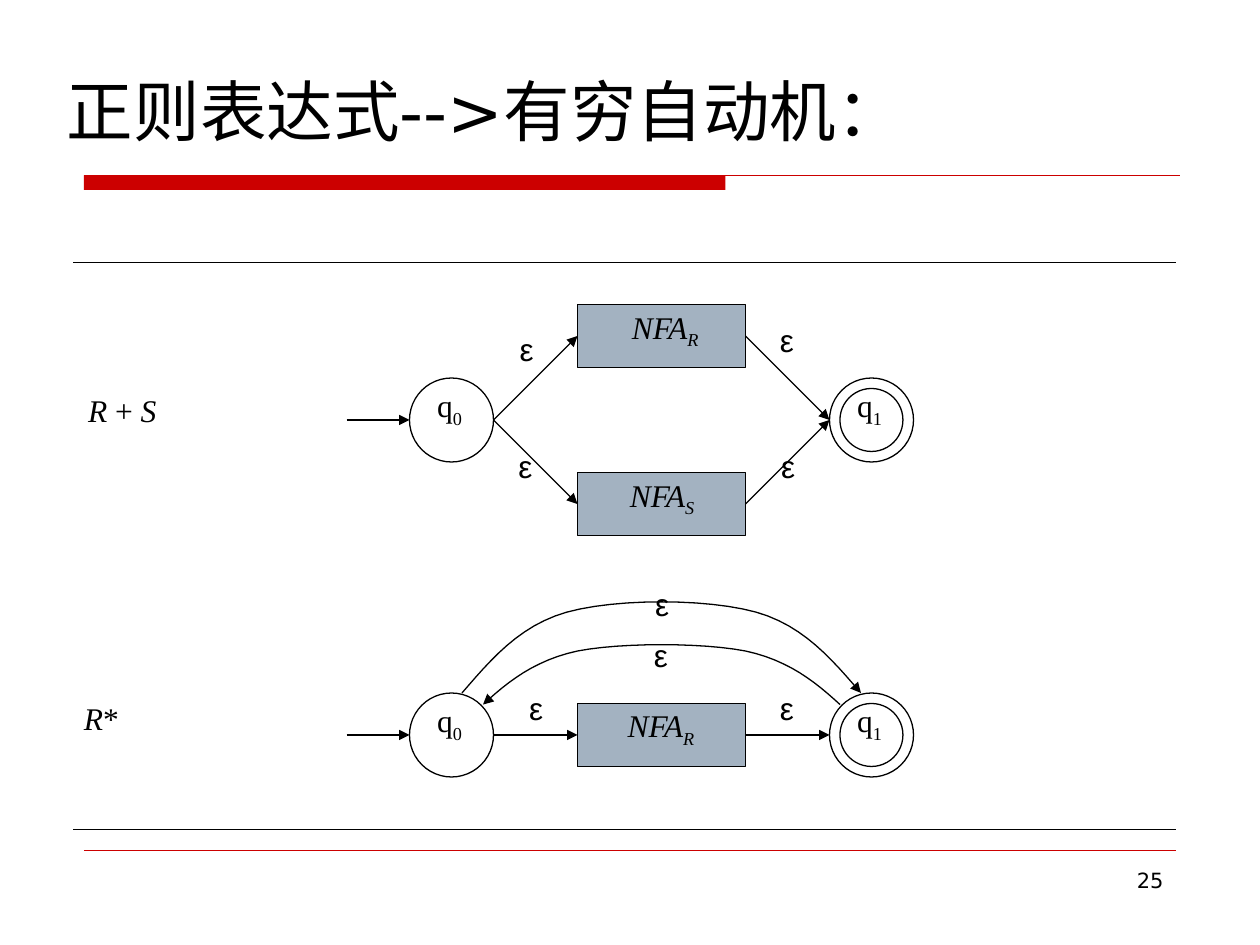
import lxml.etree
import pptx
import pptx.dml.color
import pptx.enum.shapes
import pptx.enum.text
import pptx.oxml.ns
import pptx.util

BLACK = pptx.dml.color.RGBColor(0x00, 0x00, 0x00)
RED = pptx.dml.color.RGBColor(0xCC, 0x00, 0x00)
STEEL = pptx.dml.color.RGBColor(0xA3, 0xB2, 0xC1)

SANS, SERIF, SYMBOL = "DejaVu Sans", "Times New Roman", "Arial"
SHAPES = pptx.enum.shapes.MSO_SHAPE
ALIGN = pptx.enum.text.PP_ALIGN
ANCHOR = pptx.enum.text.MSO_ANCHOR

COLUMNS, ROWS = 120, 90
CURVE_STEPS = 12


def bezier(start, pull, push, end, share):
    weights = ((1 - share) ** 3, 3 * share * (1 - share) ** 2,
               3 * share ** 2 * (1 - share), share ** 3)
    controls = (start, pull, push, end)
    return tuple(sum(w * point[axis] for w, point in zip(weights, controls))
                 for axis in (0, 1))


class AutomatonSlide:
    """Draws on one slide; all lengths are columns and rows of the grid."""

    def __init__(self, deck):
        self.slide = deck.slides.add_slide(deck.slide_layouts[6])
        self.shapes = self.slide.shapes
        self.column = deck.slide_width / COLUMNS
        self.row = deck.slide_height / ROWS

    def place(self, column, row):
        return round(column * self.column), round(row * self.row)

    def style_line(self, line, color=BLACK, width=0.75, arrow=False):
        line.color.rgb = color
        line.width = pptx.util.Pt(width)
        if arrow:
            tail = lxml.etree.SubElement(line._get_or_add_ln(),
                                         pptx.oxml.ns.qn("a:tailEnd"))
            tail.set("type", "triangle")

    def shape(self, kind, column, row, width, height, fill=None, line=BLACK):
        shape = self.shapes.add_shape(kind, *self.place(column, row),
                                      *self.place(width, height))
        shape.shadow.inherit = False
        if fill is None:
            shape.fill.background()
        else:
            shape.fill.solid()
            shape.fill.fore_color.rgb = fill
        if line is None:
            shape.line.fill.background()
        else:
            self.style_line(shape.line, line)

    def line(self, start, end, **style):
        line = self.shapes.add_connector(
            pptx.enum.shapes.MSO_CONNECTOR.STRAIGHT,
            *self.place(*start), *self.place(*end))
        self.style_line(line.line, **style)
        lxml.etree.SubElement(line._element.spPr,
                              pptx.oxml.ns.qn("a:effectLst"))

    def arrow(self, start, end):
        self.line(start, end, arrow=True)

    def arc(self, center, left_half, leftward=False):
        """Mirror five control points into a three-part curve with an arrowhead."""
        controls = [(center + x, y) for x, y in left_half]
        controls += [(center - x, y) for x, y in reversed(left_half)]
        if leftward:
            controls.reverse()
        points = [controls[0]]
        for first in (0, 3, 6):
            points += [bezier(*controls[first:first + 4], step / CURVE_STEPS)
                       for step in range(1, CURVE_STEPS + 1)]
        start, *rest = [self.place(*point) for point in points]
        builder = self.shapes.build_freeform(*start)
        builder.add_line_segments(rest, close=False)
        curve = builder.convert_to_shape()
        curve.shadow.inherit = False
        curve.fill.background()
        self.style_line(curve.line, arrow=True)

    def text(self, column, row, width, height, runs, font=SERIF, size=18,
             italic=None, wrap=False, align=ALIGN.LEFT, anchor=ANCHOR.TOP):
        """Write runs given as (text, style), the style being "", "italic" or "sub"."""
        box = self.shapes.add_textbox(*self.place(column, row),
                                      *self.place(width, height))
        frame = box.text_frame
        frame.word_wrap = wrap
        frame.vertical_anchor = anchor
        para = frame.paragraphs[0]
        para.alignment = align
        para.font.name = font
        para.font.size = pptx.util.Pt(size)
        para.font.color.rgb = BLACK
        para.font.italic = italic
        for words, style in runs:
            span = para.add_run()
            span.text = words
            if style == "italic":
                span.font.italic = True
            elif style == "sub":
                span.font._element.set("baseline", "-25000")

    def epsilon(self, column, row):
        self.text(column, row, 3.7, 4.8, [("ε", "")], font=SYMBOL)

    def state(self, column, row, index, final=False):
        self.shape(SHAPES.OVAL, column, row, 8, 8)
        if final:
            self.shape(SHAPES.OVAL, column + 1, row + 1, 6, 6)
        self.text(column + 1.45, row + 0.2, 5.2, 5.3,
                  [("q", ""), (index, "sub")])

    def machine(self, row, index, label_column):
        self.shape(SHAPES.RECTANGLE, 55, row, 16, 6, fill=STEEL)
        self.text(label_column, row - 0.3, 9.7, 5.3,
                  [("NFA", ""), (index, "sub")], italic=True)

    def end_states(self, row):
        self.state(39, row, "0")
        self.state(79, row, "1", final=True)
        self.arrow((33, row + 4), (39, row + 4))


def draw_frame(page):
    page.shape(SHAPES.RECTANGLE, 8, 16.7, 61.1, 1.4, fill=RED, line=None)
    page.line((8, 16.7), (112.4, 16.7), color=RED)
    page.line((8, 81), (112, 81), color=RED, width=0.25)
    for row in (25, 79):
        page.line((7, row), (112, row))
    page.text(86, 82, 26, 6.2, [("25", "")], font=SANS, size=12,
              wrap=True, align=ALIGN.RIGHT)
    page.text(5.2, 6.2, 109.7, 8.6, [("正则表达式-->有穷自动机：", "")],
              font=SANS, size=38, wrap=True, anchor=ANCHOR.MIDDLE)


def draw_union(page):
    page.text(7.2, 36.7, 9.2, 4.8,
              [("R ", "italic"), ("+", ""), (" S", "italic")])
    page.end_states(36)
    for row, index, label_column in ((29, "R", 59), (45, "S", 58.8)):
        page.machine(row, index, label_column)
        page.arrow((47, 40), (55, row + 3))
        page.arrow((71, row + 3), (79, 40))
    for column, row in ((48.3, 30.8), (73.1, 30), (48.2, 42), (73.2, 42)):
        page.epsilon(column, row)


def draw_star(page):
    page.text(6.8, 66, 5.9, 4.8, [("R", "italic"), ("*", "")])
    page.end_states(66)
    page.machine(67, "R", 58.6)
    for left in (47, 71):
        page.arrow((left, 70), (left + 8, 70))
    page.arc(63, [(-17, 67.1), (-14.6, 64.9), (-12.1, 62.9),
                  (-8, 62), (-3.8, 61.2)], leftward=True)
    page.arc(63, [(-19, 66), (-16.3, 62.9), (-13.6, 59.6),
                  (-9, 58.3), (-4.3, 57)])
    for column, row in ((49.2, 65), (73.1, 65), (61.2, 55.1), (61.1, 60)):
        page.epsilon(column, row)


def main():
    deck = pptx.Presentation()
    deck.slide_width = pptx.util.Inches(10)
    deck.slide_height = pptx.util.Inches(7.5)
    page = AutomatonSlide(deck)
    draw_frame(page)
    draw_union(page)
    draw_star(page)
    deck.save("out.pptx")


if __name__ == "__main__":
    main()
